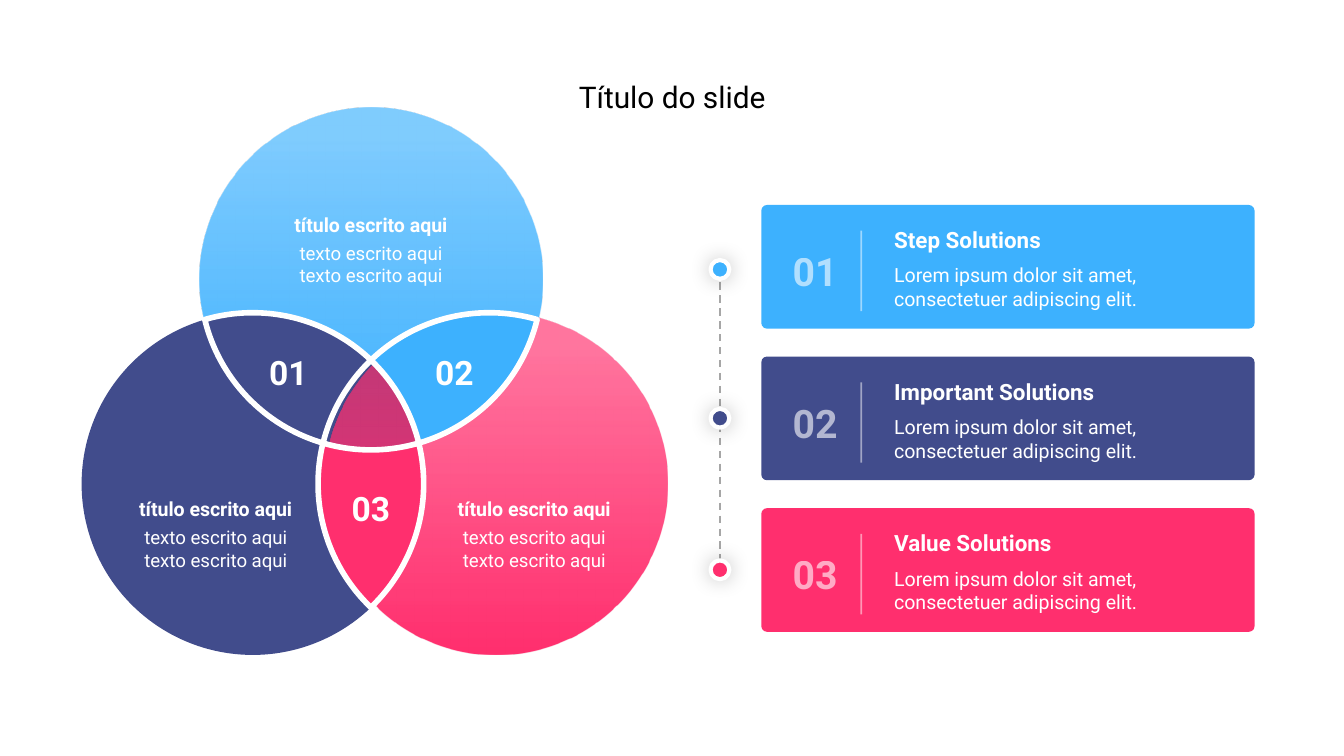
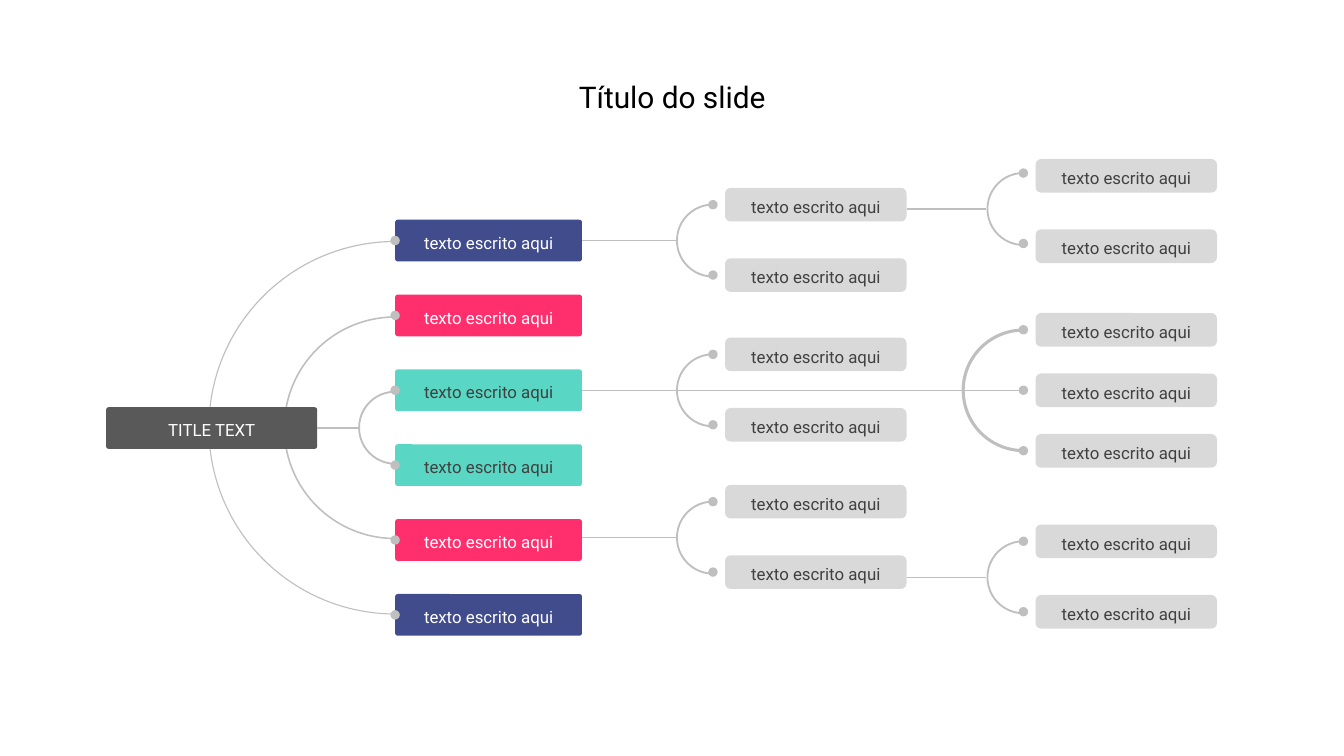
import math
from dataclasses import dataclass

from lxml import etree
from pptx import Presentation
from pptx import util as u
from pptx.dml.color import RGBColor
from pptx.enum import dml, shapes, text
from pptx.oxml.ns import qn

CELL = u.Inches(0.1)
COLUMNS, ROWS = 100, 56.25
FONT = "Roboto"
WHITE = RGBColor(0xFF, 0xFF, 0xFF)
BLACK = RGBColor(0x00, 0x00, 0x00)
BLUE = RGBColor(0x3D, 0xB1, 0xFE)
NAVY = RGBColor(0x41, 0x4C, 0x8C)
PINK = RGBColor(0xFF, 0x2F, 0x6E)
TEAL = RGBColor(0x5A, 0xD7, 0xC4)
DARK = RGBColor(0x59, 0x59, 0x59)
INK = RGBColor(0x40, 0x40, 0x40)
RULE = RGBColor(0xBF, 0xBF, 0xBF)
PALE = RGBColor(0xD9, 0xD9, 0xD9)
DASH = RGBColor(0xA6, 0xA6, 0xA6)
SHAPE = shapes.MSO_SHAPE
CENTER = text.PP_ALIGN.CENTER
MIDDLE = text.MSO_ANCHOR.MIDDLE
ITEM = "texto escrito aqui"


@dataclass
class Box:
    """A region measured in grid cells."""
    left: float
    top: float
    width: float
    height: float

    def sub(self, left, top, width, height):
        """Return a region placed relative to this one."""
        return Box(self.left + left, self.top + top, width, height)

    @property
    def middle(self):
        """Return the vertical centre."""
        return self.top + self.height / 2

    def lengths(self):
        """Return the four lengths in slide units."""
        return [round(n * CELL) for n in (self.left, self.top, self.width, self.height)]


def centred(x, y, size):
    """Return a square region around a point."""
    return Box(x - size / 2, y - size / 2, size, size)


def fade(shape, percent):
    """Make the first colour of a shape partly transparent."""
    color = next(shape._element.iter(qn("a:srgbClr")))
    etree.SubElement(color, qn("a:alpha"), val=str(percent * 1000))


def write(shape, words, size=9, color=INK, bold=False, align=CENTER,
          anchor=None, inset=None, spacing=None):
    """Put one formatted paragraph in a shape."""
    frame = shape.text_frame
    frame.word_wrap = True
    frame.auto_size = text.MSO_AUTO_SIZE.SHAPE_TO_FIT_TEXT
    if anchor is not None:
        frame.vertical_anchor = anchor
    if inset is not None:
        frame.margin_left = frame.margin_right = u.Inches(inset)
        frame.margin_top = frame.margin_bottom = u.Inches(inset)
    para = frame.paragraphs[0]
    para.alignment = align
    if spacing:
        para.line_spacing = spacing
    span = para.add_run()
    span.text = words
    span.font.name, span.font.size, span.font.bold = FONT, u.Pt(size), bold
    span.font.color.rgb = color
    return shape


def label(page, box, words, **style):
    """Add a text box."""
    return write(page.shapes.add_textbox(*box.lengths()), words, **style)


def paint(shape, fill, line=None, weight=1):
    """Give a shape a flat fill and an optional outline."""
    shape.shadow.inherit = False
    shape.fill.solid()
    shape.fill.fore_color.rgb = fill
    if line is None:
        shape.line.fill.background()
    else:
        shape.line.color.rgb = line
        shape.line.width = u.Pt(weight)
    return shape


def draw(page, kind, box, fill, adjust=(), **outline):
    """Add a painted preset shape."""
    shape = page.shapes.add_shape(kind, *box.lengths())
    for index, value in enumerate(adjust):
        shape.adjustments[index] = value
    return paint(shape, fill, **outline)


def connect(page, start, end, color=RULE, weight=0.75, source=None):
    """Add a straight line, joined to the right side of a source shape."""
    points = [round(n * CELL) for n in (*start, *end)]
    line = page.shapes.add_connector(shapes.MSO_CONNECTOR.STRAIGHT, *points)
    line.line.color.rgb = color
    line.line.width = u.Pt(weight)
    etree.SubElement(line._element.spPr, qn("a:effectLst"))
    if source is not None:
        line.begin_connect(source, 3)
    return line


def title(page):
    """Add the slide title."""
    label(page, Box(37.17, 5.68, 25.7, 3.1), "Título do slide",
          size=16, color=BLACK, inset=0.02)


def crossings(one, two, third, radius):
    """Return where two circles cross, the point nearer the third circle first."""
    gap = two - one
    offset = 1j * gap / abs(gap) * math.sqrt(radius ** 2 - abs(gap / 2) ** 2)
    points = ((one + two) / 2 + offset, (one + two) / 2 - offset)
    return sorted(points, key=lambda point: abs(point - third))


def arc(center, start, end):
    """Return cubic curves along the shorter arc, cut at its extreme points."""
    begin, finish = start - center, end - center
    first = math.atan2(begin.imag, begin.real)
    sweep = math.remainder(math.atan2(finish.imag, finish.real) - first, math.tau)
    low, high = sorted((first, first + sweep))
    quarter = math.pi / 2
    cuts = [n * quarter for n in range(-4, 5) if low < n * quarter < high]
    angles = sorted([low, *cuts, high], reverse=sweep < 0)
    curves = []
    for a, b in zip(angles, angles[1:]):
        pull = 4 / 3 * math.tan((b - a) / 4) * 1j
        here, there = (abs(begin) * complex(math.cos(n), math.sin(n)) for n in (a, b))
        curves.append([center + here * (1 + pull), center + there * (1 - pull), center + there])
    return curves


def lens(page, one, two, third, radius, fill):
    """Outline the overlap of two circles outside the third."""
    outer = crossings(one, two, third, radius)[1]
    near_one = crossings(one, third, two, radius)[0]
    near_two = crossings(two, third, one, radius)[0]
    curves = (arc(one, outer, near_one) + arc(third, near_one, near_two)
              + arc(two, near_two, outer))
    scaled = [[(round(p.real * CELL), round(p.imag * CELL)) for p in curve] for curve in curves]
    builder = page.shapes.build_freeform(*scaled[-1][-1])
    builder.add_line_segments([curve[-1] for curve in scaled], close=True)
    shape = paint(builder.convert_to_shape(), fill, line=WHITE, weight=3)
    for segment, curve in zip(list(shape._element.iter(qn("a:lnTo"))), scaled):
        segment.remove(segment[0])
        bend = etree.Element(qn("a:cubicBezTo"))
        for x, y in curve:
            etree.SubElement(bend, qn("a:pt"), x=str(x - shape.left), y=str(y - shape.top))
        segment.getparent().replace(segment, bend)


def venn(page, box):
    """Draw three overlapping circles with captions and numbered overlaps."""
    radius = 12.73
    corner = complex(box.left, box.top)
    top, left, right = (corner + c for c in (21.5 + 12.75j, 12.7 + 28j, 30.3 + 28j))
    for center, color in ((top, BLUE), (left, NAVY), (right + 0.5, PINK)):
        circle = draw(page, SHAPE.OVAL, centred(center.real, center.imag, 2 * radius), color)
        if color != NAVY:
            circle.fill.gradient()
            circle.fill.gradient_angle = 270
            for stop, position in zip(circle.fill.gradient_stops, (0.08, 1)):
                stop.color.rgb, stop.position = color, position
            fade(circle, 65)
    overlaps = ((left, top, right, NAVY, 12.4, 17.7), (top, right, left, BLUE, 24.75, 17.7),
                (right, left, top, PINK, 18.55, 27.8))
    for number, (one, two, third, color, x, y) in enumerate(overlaps, 1):
        lens(page, one, two, third, radius, color)
        label(page, box.sub(x, y, 5.9, 4), f"{number:02}", size=18, color=WHITE, bold=True)
    for x, y in ((25.75, 28.5), (13.6, 7.35), (2.05, 28.5)):
        caption = box.sub(x, y, 15.8, 2.8)
        label(page, caption.sub(1.45, 2.15, 12.9, 4.4), f"{ITEM} {ITEM}", size=10, color=WHITE)
        label(page, caption, "título escrito aqui", size=10.5, color=WHITE, bold=True)


def card(page, box, number, heading, color):
    """Draw one numbered card."""
    left = text.PP_ALIGN.LEFT
    draw(page, SHAPE.ROUNDED_RECTANGLE, box, color, (0.046,))
    label(page, box.sub(8.9, 3.85, 26.8, 4.5),
          "Lorem ipsum dolor sit amet, consectetuer adipiscing elit.",
          size=10.5, color=WHITE, align=left)
    label(page, box.sub(8.9, 1.1, 21, 3), heading, size=12, color=WHITE, bold=True, align=left)
    fade(label(page, box.sub(1.05, 2.65, 5.9, 4.5), number, size=21, color=WHITE, bold=True), 60)
    x = box.left + 7.43
    fade(connect(page, (x, box.top + 1.92), (x, box.top + 7.9), WHITE, 1), 50)


def marker(page, x, y, color):
    """Draw a white-rimmed timeline dot with a soft shadow."""
    dot = draw(page, SHAPE.OVAL, centred(x, y, 1.4), color, line=WHITE, weight=2.25)
    effects = dot._element.spPr.find(qn("a:effectLst"))
    glow = etree.SubElement(effects, qn("a:outerShdw"), blurRad=str(u.Pt(11)), dist="0",
                            algn="ctr", rotWithShape="0")
    tint = etree.SubElement(glow, qn("a:srgbClr"), val="000000")
    etree.SubElement(tint, qn("a:alpha"), val="21000")


def steps(page, box):
    """Draw the dashed timeline and its cards."""
    items = (("Step Solutions", BLUE, 4.8), ("Important Solutions", NAVY, 15.87),
             ("Value Solutions", PINK, 27.15))
    x = box.left + 0.67
    line = connect(page, (x, box.top + 5.75), (x, box.top + 26.45), DASH, 1)
    line.line.dash_style = dml.MSO_LINE.DASH
    for row, (heading, color, _) in enumerate(items):
        card(page, box.sub(3.75, 11.28 * row, 36.7, 9.2), f"{row + 1:02}", heading, color)
    for _, color, y in items:
        marker(page, x, box.top + y, color)


def bracket(page, x, y, size, thickness=0.025):
    """Draw a half ring that opens to the right."""
    ring = draw(page, SHAPE.BLOCK_ARC, centred(x, y, size), RULE, (108, 0, thickness))
    ring.rotation = 270


def fork(page, x, y, size, offsets, shift=0):
    """Draw a bracket with a dot and a pill at each branch."""
    bracket(page, x, y, size)
    for offset in offsets:
        draw(page, SHAPE.OVAL, centred(x, y + offset, 0.7), RULE)
        place = Box(x + 0.9, y + offset + shift - 1.25, 13.5, 2.5)
        pill = draw(page, SHAPE.ROUNDED_RECTANGLE, place, PALE)
        write(pill, ITEM, anchor=MIDDLE, inset=0.03, spacing=1.2)


def tag(page, box, words, fill, color):
    """Draw a coloured block with its label."""
    block = draw(page, SHAPE.ROUNDED_RECTANGLE, box, fill, (0.062,))
    label(page, box.sub(0.85, 0.2, box.width - 1.7, 2.7), words,
          color=color, anchor=MIDDLE, spacing=1.2)
    return block


def tree(page, box):
    """Draw the root, its six branches and their forks."""
    trunk, second, third = box.left + 21.5, box.left + 45.15, box.left + 68.25
    pair, trio = (-2.67, 2.57), (-4.5, 0, 4.5)
    root_box = box.sub(0, 18.4, 15.7, 3.1)
    colors = (NAVY, PINK, TEAL, TEAL, PINK, NAVY)
    places = [box.sub(21.5, 4.45 + 5.57 * row, 13.9, 3.1) for row in range(len(colors))]
    center = (places[0].middle + places[-1].middle) / 2
    blocks = [tag(page, place, ITEM, color, INK if color == TEAL else WHITE)
              for place, color in zip(places, colors)]
    for size, thickness in ((27.8, 0.003), (16.6, 0.007), (5.5, 0.025)):
        bracket(page, trunk, center, size, thickness)
    for place in places:
        draw(page, SHAPE.OVAL, centred(trunk, place.middle, 0.7), RULE)
    for row, drop in ((0, 0), (2, 0), (4, 0.18)):
        y = places[row].middle - drop
        connect(page, (trunk + 13.9, y), (second - 2.75, y),
                source=None if drop else blocks[row])
        fork(page, second, y, 5.5, pair)
    y = places[2].middle
    connect(page, (second - 2.75, y), (third, y))
    fork(page, third, y, 9.2, trio)
    for y, shift in ((3.65, 0.2), (31.05, 0)):
        y += box.top
        connect(page, (second + 14.4, y), (third - 2.75, y))
        fork(page, third, y, 5.5, pair, shift)
    root = tag(page, root_box, "TITLE TEXT", DARK, WHITE)
    connect(page, (root_box.left + 15.7, root_box.middle),
            (trunk - 2.75, root_box.middle), source=root)


def main():
    """Build both slides and save the deck."""
    deck = Presentation()
    deck.slide_width, deck.slide_height = round(COLUMNS * CELL), round(ROWS * CELL)
    regions = (((venn, Box(6.1, 8, 43.4, 40.7)), (steps, Box(52.9, 15.25, 40.4, 31.8))),
               ((tree, Box(7.9, 11.9, 82.7, 35.4)),))
    for parts in regions:
        page = deck.slides.add_slide(deck.slide_layouts[6])
        for build, box in parts:
            build(page, box)
        title(page)
    deck.save("out.pptx")


if __name__ == "__main__":
    main()
